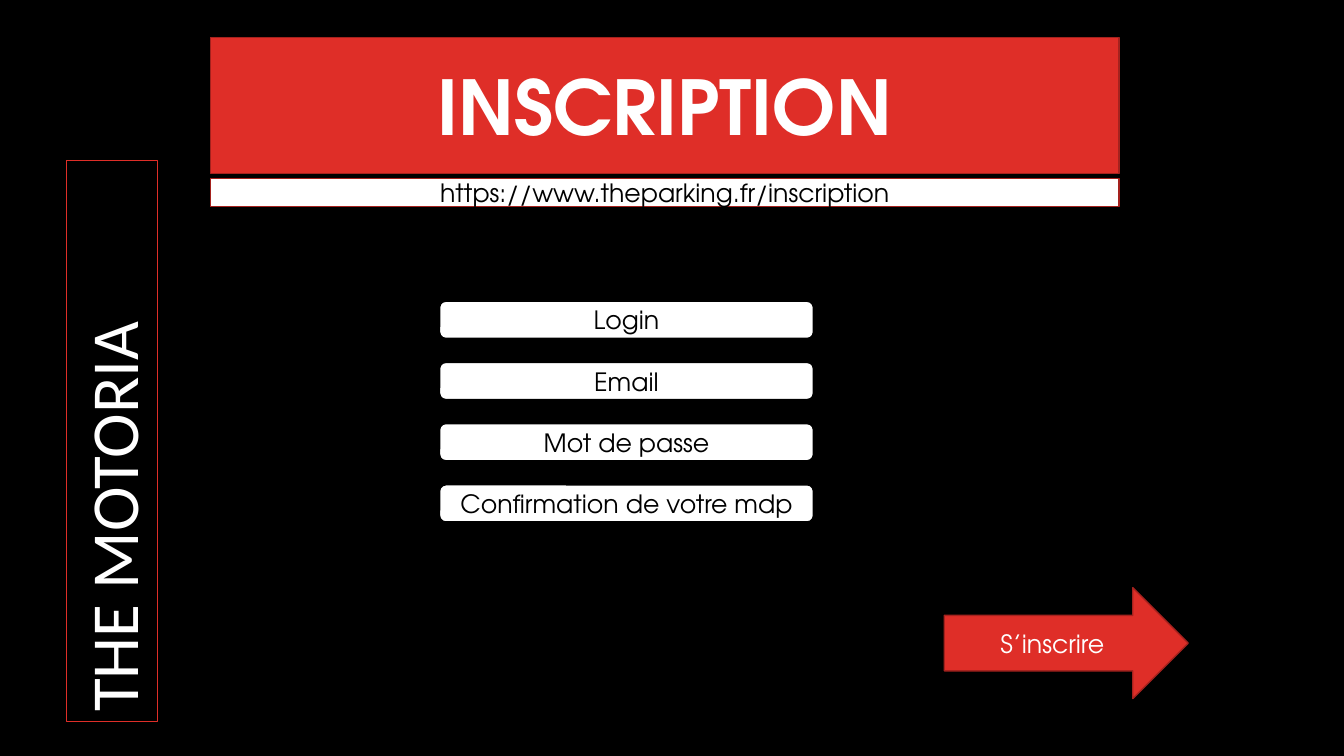
"""Build the registration page slide of the parking site."""
from dataclasses import dataclass

from lxml.etree import SubElement
from pptx import Presentation
from pptx.dml.color import RGBColor
from pptx.enum.shapes import MSO_SHAPE
from pptx.enum.text import MSO_ANCHOR, MSO_AUTO_SIZE, PP_ALIGN
from pptx.oxml.ns import qn
from pptx.util import Pt


@dataclass(frozen=True)
class Theme:
    """Hold the colours, fonts and type sizes of the slide."""

    black: RGBColor = RGBColor(0x00, 0x00, 0x00)
    white: RGBColor = RGBColor(0xFF, 0xFF, 0xFF)
    red: RGBColor = RGBColor(0xDF, 0x2E, 0x28)
    dark_red: RGBColor = RGBColor(0xA5, 0x22, 0x1E)
    display_font: str = "TeX Gyre Adventor"
    side_font: str = "Calibri"
    title_size: float = 54
    side_size: float = 48
    label_size: float = 18


THEME = Theme()
FIELDS = ["Login", "Email", "Mot de passe", "Confirmation de votre mdp"]
FIELD_TOP, FIELD_STEP = 215.2, 43.7


def style_box(box, fill, line, line_width=1):
    """Give a box a solid fill, an outline and no shadow."""
    box.shadow.inherit = False
    box.fill.solid()
    box.fill.fore_color.rgb = fill
    box.line.color.rgb = line
    box.line.width = Pt(line_width)


def write_text(box, text, color, size=THEME.label_size, name=THEME.display_font,
               bold=False, align=PP_ALIGN.CENTER, anchor=MSO_ANCHOR.MIDDLE):
    """Write one formatted line of text in a box."""
    frame = box.text_frame
    frame_format = {"word_wrap": True, "auto_size": MSO_AUTO_SIZE.NONE,
                    "vertical_anchor": anchor}
    for key, value in frame_format.items():
        setattr(frame, key, value)
    para = frame.paragraphs[0]
    para.alignment = align
    span = para.add_run()
    span.text = text
    for key, value in {"name": name, "size": Pt(size), "bold": bold}.items():
        setattr(span.font, key, value)
    span.font.color.rgb = color


def add_box(page, kind, place, fill, line, line_width=1):
    """Add a styled preset shape at a place given in points."""
    box = page.shapes.add_shape(kind, *map(Pt, place))
    style_box(box, fill, line, line_width)
    return box


def add_title(page, text):
    """Turn the title placeholder into the rounded red banner."""
    title = page.shapes.title
    place = {"left": 150.5, "top": 26.6, "width": 648.7, "height": 97.2}
    for key, value in place.items():
        setattr(title, key, Pt(value))
    geometry = SubElement(title.element.spPr, qn("a:prstGeom"), prst="roundRect")
    SubElement(geometry, qn("a:avLst"))
    style_box(title, THEME.red, THEME.dark_red)
    write_text(title, text, THEME.white, THEME.title_size, bold=True)


def add_field(page, row, label):
    """Add one input field of the form."""
    place = (314, FIELD_TOP + row * FIELD_STEP, 267, 26.5)
    box = add_box(page, MSO_SHAPE.ROUNDED_RECTANGLE, place, THEME.white, THEME.black)
    write_text(box, label, THEME.black)


def add_submit_arrow(page, label):
    """Add the arrow that submits the form."""
    place = (674.5, 419.8, 174.2, 79.2)
    arrow = add_box(page, MSO_SHAPE.RIGHT_ARROW, place, THEME.red, THEME.dark_red)
    write_text(arrow, label, THEME.white)


def add_side_name(page, text):
    """Add the site name, turned to read upwards."""
    place = (-120.5, 282.25, 401, 65.5)
    box = add_box(page, MSO_SHAPE.RECTANGLE, place, THEME.black, THEME.red, 0.75)
    box.rotation = 270
    write_text(box, text, THEME.white, THEME.side_size, THEME.side_font,
               align=PP_ALIGN.LEFT, anchor=MSO_ANCHOR.TOP)


def add_address_bar(page, address):
    """Add the address bar below the banner."""
    place = (150.5, 127.5, 648.7, 20.2)
    box = add_box(page, MSO_SHAPE.RECTANGLE, place, THEME.white, THEME.dark_red)
    write_text(box, address, THEME.black)


def main():
    """Build the slide and save the deck."""
    deck = Presentation()
    deck.slide_width, deck.slide_height = Pt(960), Pt(540)
    page = deck.slides.add_slide(deck.slide_layouts[5])
    page.background.fill.solid()
    page.background.fill.fore_color.rgb = THEME.black
    add_title(page, "INSCRIPTION")
    for row, label in enumerate(FIELDS):
        add_field(page, row, label)
    add_submit_arrow(page, "S’inscrire")
    add_side_name(page, "THE MOTORIA")
    add_address_bar(page, "https://www.theparking.fr/inscription")
    deck.save("out.pptx")


if __name__ == "__main__":
    main()
